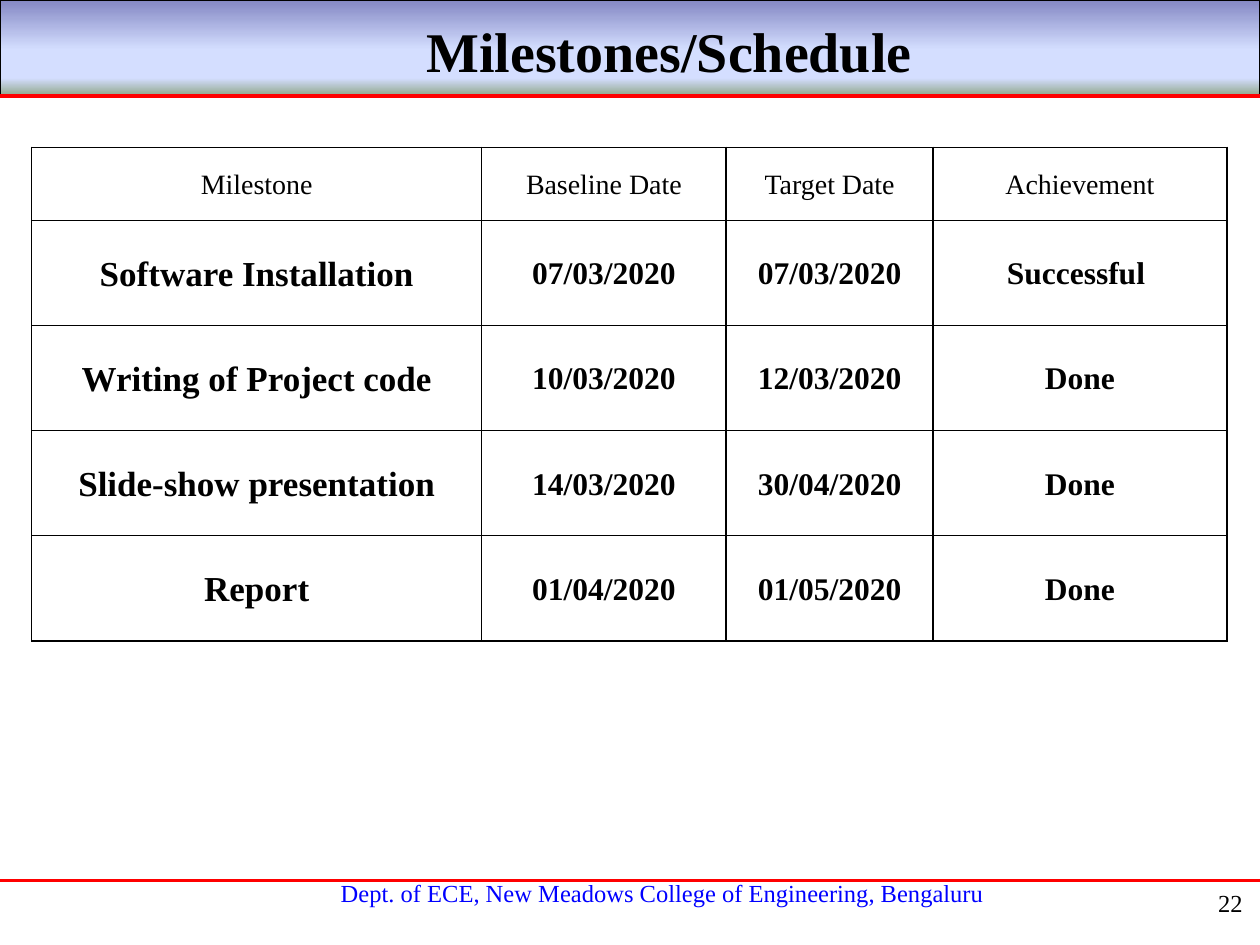
from lxml.etree import SubElement
from pptx import Presentation
from pptx.dml.color import RGBColor
from pptx.enum.shapes import MSO_CONNECTOR, MSO_SHAPE
from pptx.enum.text import MSO_ANCHOR as Anchor, PP_ALIGN as Align
from pptx.oxml.ns import qn
from pptx.util import Cm, Pt

FONT = "Times New Roman"
COLORS = {
    "text": "000000", "rule": "FF0000", "footer": "0000FF",
    "band_top": "8488C4", "band_light": "D4DEFF", "band_bottom": "96AB94",
}
BAND_STOPS = [(0, "band_top"), (53, "band_light"), (83, "band_light"), (100, "band_bottom")]

SLIDE_W, SLIDE_H = 25.4, 19.05
COLUMN_WIDTHS = [9.07, 4.93, 4.17, 5.92]
HEADER_HEIGHT, ROW_HEIGHT = 1.47, 2.12
SCHEDULE = [
    ("Milestone", "Baseline Date", "Target Date", "Achievement"),
    ("Software Installation", "07/03/2020", "07/03/2020", "Successful "),
    ("Writing of Project code", "10/03/2020", "12/03/2020", "Done"),
    ("Slide-show presentation", "14/03/2020", "30/04/2020", "Done"),
    ("Report", "01/04/2020", "01/05/2020", "Done"),
]


def rgb(name):
    return RGBColor.from_string(COLORS[name])


def apply(target, values):
    for attribute, value in values.items():
        setattr(target, attribute, value)


def write(frame, text, size, color="text", bold=False, **paragraph_format):
    paragraph = frame.paragraphs[0]
    apply(paragraph, paragraph_format)
    run = paragraph.add_run()
    run.text = text
    apply(run.font, {"name": FONT, "size": Pt(size), "bold": bold})
    run.font.color.rgb = rgb(color)


def add_band(slide):
    band = slide.shapes.add_shape(MSO_SHAPE.RECTANGLE, 0, 0, Cm(SLIDE_W), Cm(1.9))
    band.shadow.inherit = False
    band.line.color.rgb = rgb("text")
    band.line.width = Pt(0.75)
    band.fill.gradient()
    band.fill.gradient_angle = 270
    stops = band._element.spPr.find(".//" + qn("a:gsLst"))
    for stop in list(stops):
        stops.remove(stop)
    for percent, color in BAND_STOPS:
        stop = SubElement(stops, qn("a:gs"), pos=str(percent * 1000))
        SubElement(stop, qn("a:srgbClr"), val=COLORS[color])


def add_rule(slide, y, width):
    rule = slide.shapes.add_connector(MSO_CONNECTOR.STRAIGHT, 0, Cm(y), Cm(SLIDE_W), Cm(y))
    rule.line.color.rgb = rgb("rule")
    rule.line.width = Pt(width)
    SubElement(rule._element.spPr, qn("a:effectLst"))


def add_text(slide, box, text, size, align, indent=0, **style):
    frame = slide.shapes.add_textbox(*map(Cm, box)).text_frame
    apply(frame, {"word_wrap": True, "margin_left": Cm(0.25 + indent)})
    write(frame, text, size, alignment=align, **style)


def add_borders(cell):
    properties = cell._tc.get_or_add_tcPr()
    for position, side in enumerate(("lnL", "lnR", "lnT", "lnB")):
        border = properties.makeelement(qn("a:" + side), {"w": str(Pt(1))})
        fill = SubElement(border, qn("a:solidFill"))
        SubElement(fill, qn("a:srgbClr"), val=COLORS["text"])
        properties.insert(position, border)


def add_schedule(slide):
    height = HEADER_HEIGHT + ROW_HEIGHT * (len(SCHEDULE) - 1)
    table = slide.shapes.add_table(
        len(SCHEDULE), len(COLUMN_WIDTHS),
        Cm(0.64), Cm(2.97), Cm(sum(COLUMN_WIDTHS)), Cm(height)).table
    apply(table, {"first_row": False, "horz_banding": False})
    for column, width in zip(table.columns, COLUMN_WIDTHS):
        column.width = Cm(width)
    for r, entries in enumerate(SCHEDULE):
        table.rows[r].height = Cm(ROW_HEIGHT if r else HEADER_HEIGHT)
        for c, text in enumerate(entries):
            cell = table.cell(r, c)
            apply(cell, {"vertical_anchor": Anchor.MIDDLE,
                         "margin_left": Cm(0.15), "margin_right": Cm(0.15),
                         "margin_top": 0, "margin_bottom": 0})
            cell.fill.background()
            add_borders(cell)
            size = 16 if r == 0 else 20 if c == 0 else 18
            write(cell.text_frame, text, size, bold=r > 0, alignment=Align.CENTER,
                  line_spacing=1.07, space_before=Pt(3), space_after=Pt(3))


def main():
    prs = Presentation()
    apply(prs, {"slide_width": Cm(SLIDE_W), "slide_height": Cm(SLIDE_H)})
    slide = prs.slides.add_slide(prs.slide_layouts[6])

    # Heading band and footer rule
    add_band(slide)
    add_rule(slide, 1.93, 2.25)
    add_text(slide, (4.24, 17.58, 17.98, 0.84),
             "Dept. of ECE, New Meadows College of Engineering, Bengaluru",
             14, Align.CENTER, indent=0.25, color="footer")
    add_rule(slide, 17.75, 1.5)

    # Title and page number
    add_text(slide, (0, 0.2, 25.3, 1.63), "Milestones/Schedule",
             32, Align.CENTER, indent=1.69, bold=True)
    add_text(slide, (20.02, 17.78, 5.28, 1.27), "22", 14, Align.RIGHT)

    # Milestone table
    add_schedule(slide)
    prs.save("out.pptx")


if __name__ == "__main__":
    main()
